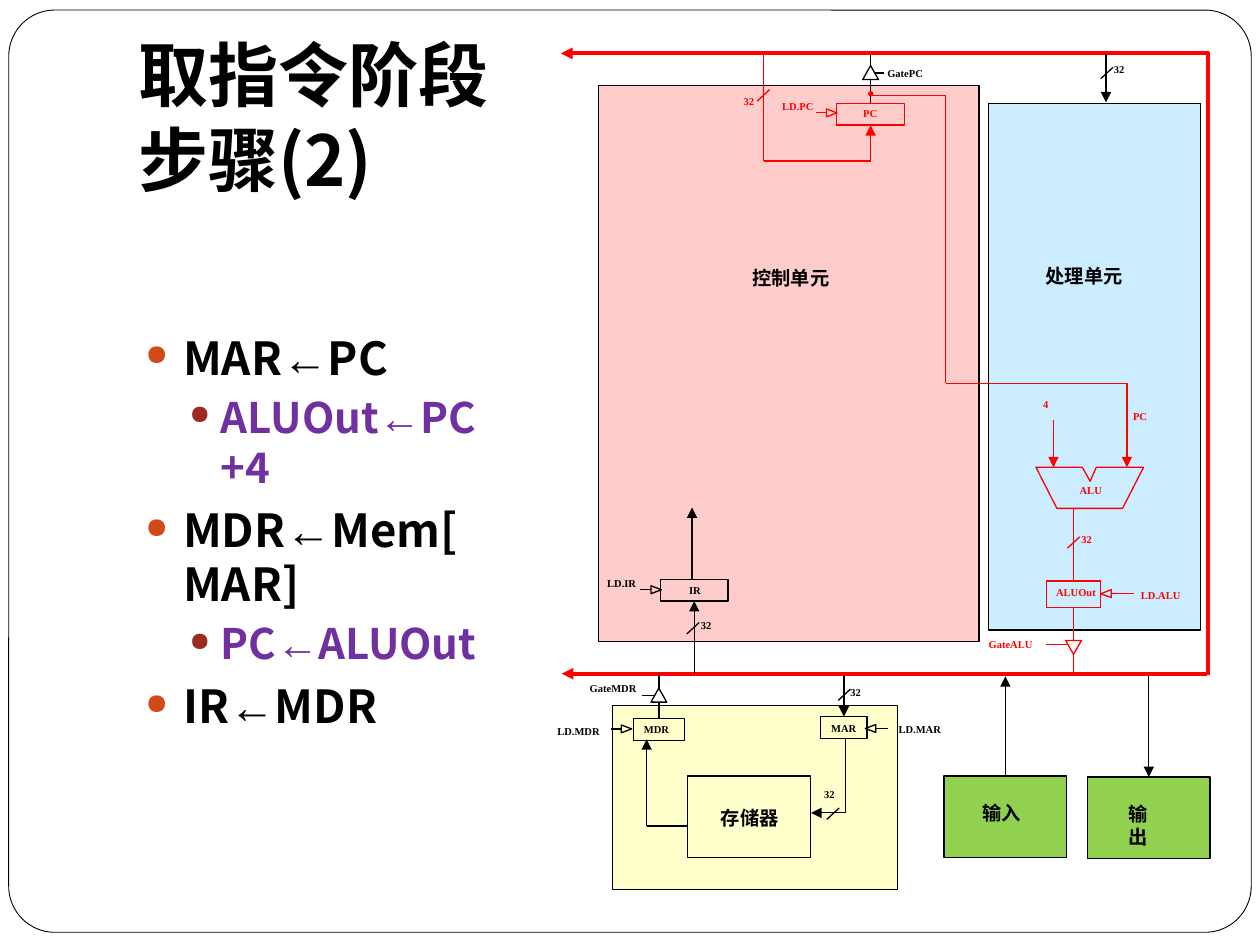
from lxml import etree
from pptx import Presentation
from pptx import util as u
from pptx.dml import color
from pptx.enum import shapes, text
from pptx.oxml import ns

HUES = {"ink": "000000", "red": "FF0000", "white": "FFFFFF", "pink": "FFCCCC",
        "sky": "CCECFF", "cream": "FFFFCC", "green": "92D050",
        "violet": "7030A0", "rust": "D34817", "brick": "9B2D1F"}
KIND = shapes.MSO_SHAPE
SANS, SERIF = "Noto Sans CJK SC", "Times New Roman"


class Board:
    """Style and current slide, with one method for each kind of element."""

    def __init__(self, slide):
        self.items = slide.shapes
        self.thin = 0.75

    def rgb(self, hue):
        return color.RGBColor.from_string(HUES[hue])

    def tag(self, node, name, **attrs):
        return etree.SubElement(node, ns.qn(name), **attrs)

    def paint(self, item, hue, fill, wide):
        item.shadow.inherit = False
        if fill:
            item.fill.solid()
            item.fill.fore_color.rgb = self.rgb(fill)
        else:
            item.fill.background()
        item.line.color.rgb = self.rgb(hue)
        item.line.width = u.Pt(wide)
        return item

    def shape(self, x, y, w, h, hue="ink", fill=None, kind=KIND.RECTANGLE, turn=0, wide=0.75):
        item = self.items.add_shape(kind, u.Pt(x), u.Pt(y), u.Pt(w), u.Pt(h))
        item.rotation = turn
        return self.paint(item, hue, fill, wide)

    def outline(self, points, hue):
        first, *rest = [(u.Pt(x), u.Pt(y)) for x, y in points]
        pen = self.items.build_freeform(*first)
        pen.add_line_segments(rest, close=True)
        return self.paint(pen.convert_to_shape(), hue, None, self.thin)

    def wire(self, points, hue="ink", arrow=False, wide=0.75, start=None, end=None):
        for a, b in zip(points, points[1:]):
            line = self.items.add_connector(
                shapes.MSO_CONNECTOR.STRAIGHT, *[u.Pt(v) for v in a + b])
            line.line.color.rgb = self.rgb(hue)
            line.line.width = u.Pt(wide)
            self.tag(line._element.spPr, "a:effectLst")
            if start and a == points[0]:
                line.begin_connect(*start)
        if end:
            line.end_connect(*end)
        if arrow:
            self.tag(line.line._get_or_add_ln(), "a:tailEnd", type="triangle")

    def run(self, para, words, size, hue, face):
        piece = para.add_run()
        piece.text = words
        font = piece.font
        font.size, font.bold, font.name = u.Pt(size), True, face
        font.color.rgb = self.rgb(hue)
        east = etree.Element(ns.qn("a:ea"), typeface=SANS)
        font._element.find(ns.qn("a:latin")).addnext(east)

    def frame(self, x, y, w, h):
        box = self.items.add_textbox(u.Pt(x), u.Pt(y), u.Pt(w), u.Pt(h)).text_frame
        box.word_wrap = True
        return box

    def label(self, words, x, y, hue="ink", size=6, w=None, h=12.5):
        box = self.frame(x, y, w or 4 * len(words) + 8, h)
        box.margin_left = box.margin_right = box.margin_top = box.margin_bottom = 0
        self.run(box.paragraphs[0], words, size, hue, SERIF)

    def title(self, words, x, y, w, h):
        box = self.frame(x, y, w, h)
        box.vertical_anchor = text.MSO_ANCHOR.MIDDLE
        para = box.paragraphs[0]
        para.line_spacing = u.Pt(48.5)
        self.run(para, words, 40, "ink", SANS)

    def steps(self, rows, x, y, w, h):
        box = self.frame(x, y, w, h)
        looks = [(26, "ink", "rust", 21.6, 21.6, 5.8, 31),
                 (24, "violet", "brick", 43.2, 18, 3.7, 29)]
        for i, (level, left, right) in enumerate(rows):
            size, hue, dot, edge, hang, gap, pitch = looks[level]
            para = box.add_paragraph() if i else box.paragraphs[0]
            para.level = level
            para.line_spacing = u.Pt(pitch)
            para.space_before = u.Pt(gap if i else 0)
            props = para._p.get_or_add_pPr()
            props.set("marL", str(u.Pt(edge)))
            props.set("indent", str(-u.Pt(hang)))
            self.tag(self.tag(props, "a:buClr"), "a:srgbClr", val=HUES[dot])
            self.tag(props, "a:buSzPct", val="63000")
            self.tag(props, "a:buChar", char="●")
            for words, face in ((left, SANS), ("←", "Arial"), (right, SANS)):
                self.run(para, words, size, hue, face)

    def latch(self, name, spot, far, x, y, hue="ink"):
        side = 1 if far > x else -1
        self.shape(x - 2.25, y - 3, 4.5, 6, hue, kind=KIND.FLOWCHART_EXTRACT, turn=-90 * side)
        self.wire([(far, y), (x + 3 * side, y)], hue)
        self.label(name, *spot, hue)

    def gate(self, name, spot, lead, x, y, hue="ink", kind=KIND.FLOWCHART_EXTRACT):
        self.shape(x, y, 9, 8, hue, kind=kind)
        self.wire(lead, hue)
        self.label(name, *spot, hue)

    def tick(self, x, y, spot, hue="ink"):
        self.wire([(x + 3.5, y - 3.25), (x - 3.5, y + 3.25)], hue)
        self.label("32", *spot, hue)


def main():
    deck = Presentation()
    deck.slide_width, deck.slide_height = u.Pt(720), u.Pt(540)
    b = Board(deck.slides.add_slide(deck.slide_layouts[6]))

    edge = b.shape(5, 5.75, 710, 527, fill="white", kind=KIND.ROUNDED_RECTANGLE, wide=0.5)
    edge.adjustments[0] = 0.05
    b.title("取指令阶段步骤(2)", 72, 21.5, 231, 89.5)
    b.steps([(0, "MAR", "PC"), (1, "ALUOut", "PC+4"), (0, "MDR", "Mem[MAR]"),
             (1, "PC", "ALUOut"), (0, "IR", "MDR")], 76, 185, 209.5, 312)

    b.shape(350, 403.25, 162.5, 105, fill="cream", wide=0.25)
    b.shape(565, 59, 121, 301, fill="sky")
    b.shape(342, 49, 217.5, 317.5, fill="pink")
    keys = b.shape(539.5, 443.5, 70, 46.5, fill="green")
    show = b.shape(621.5, 444, 70, 46.5, fill="green")
    b.shape(393, 443.5, 70, 46.5)
    pc = b.shape(478, 59, 39, 12.5, "red")
    ir = b.shape(377.5, 331, 38.5, 12.5)
    mdr = b.shape(362, 410.5, 29, 12.5)
    mar = b.shape(469, 409.5, 26.5, 12.5)
    out = b.shape(598, 332, 31, 15, "red")
    b.outline([(592, 267), (618.5, 267), (623, 275), (626.5, 267),
               (653.5, 267), (641.5, 290.5), (604, 290.5)], "red")

    b.wire([(691, 30.5), (320.5, 30.5)], "red", True, 2.25)
    b.wire([(690.5, 30), (690.5, 386)], "red", wide=2.25)
    b.wire([(690, 385), (321, 385)], "red", True, 2.25)

    b.wire([(396.75, 385), (396.75, 343.5)], arrow=True, end=(ir, 2))
    b.wire([(395.5, 331), (395.5, 290)], arrow=True)
    b.wire([(574.5, 443.5), (574.5, 386.5)], arrow=True, start=(keys, 0))
    b.wire([(656.5, 386.5), (656.5, 444)], arrow=True, end=(show, 0))
    b.wire([(632, 31), (632, 58.5)], arrow=True)
    b.wire([(497.5, 45.5), (497.5, 59)], end=(pc, 0))
    b.wire([(497.5, 31.5), (497.5, 37.5)])
    b.wire([(376.5, 410.5), (376.5, 401)], start=(mdr, 0))
    b.wire([(376.5, 385), (376.5, 393.5)])
    b.wire([(393, 472), (369.5, 472), (369.5, 422.5)], arrow=True)
    b.wire([(483, 422), (483, 464.5), (463.5, 464.5)], arrow=True)
    b.wire([(482.25, 386), (482.25, 409.5)], arrow=True, end=(mar, 0))
    b.wire([(436.5, 30), (436.5, 92), (497.5, 92), (497.5, 71.5)], "red", True, end=(pc, 2))
    b.wire([(498.5, 54.5), (540.5, 54.5), (540.5, 219), (644, 219), (644, 267)], "red", True)
    b.wire([(602, 240), (602, 267)], "red", True)
    b.wire([(613.5, 290.5), (613.5, 332)], "red", end=(out, 0))
    b.wire([(613.5, 347), (613.5, 366)], "red", start=(out, 2))
    b.wire([(613.5, 374), (613.5, 385)], "red")
    b.shape(496.5, 52.5, 2.25, 2.25, "red", "red", KIND.OVAL)

    b.gate("GatePC", (507, 38), [(499.5, 41.75), (505, 41.75)], 493, 37.5)
    b.gate("GateMDR", (337, 389.5), [(374.5, 397.5), (367, 397.5)], 372, 393.25)
    b.gate("GateALU", (565, 364.5), [(597.5, 368.5), (610, 368.5)], 609, 366,
           "red", KIND.FLOWCHART_MERGE)
    b.latch("LD.IR", (347, 329.75), 365.75, 375, 337)
    b.latch("LD.PC", (447, 57), 466.5, 475.25, 64.5, "red")
    b.latch("LD.ALU", (652, 336.5), 648, 632, 339.25, "red")
    b.latch("LD.MDR", (318.5, 414), 349, 358, 416.5)
    b.latch("LD.MAR", (513.5, 413), 507.5, 497.5, 416.25)
    for x, y, spot, hue in [
            (396, 359, (400.5, 353.5), "ink"), (632.5, 41.75, (636.5, 36), "ink"),
            (482.5, 397, (486, 391.75), "ink"), (476, 465, (471, 450), "ink"),
            (436.25, 54.5, (425, 54.5), "red"), (613.5, 310, (618, 304.5), "red")]:
        b.tick(x, y, spot, hue)

    for words, x, y, hue in [
            ("IR", 393.75, 333.5, "ink"), ("MDR", 368, 413.25, "ink"),
            ("MAR", 475, 412.5, "ink"), ("PC", 493.25, 61.25, "red"),
            ("ALU", 617, 276.5, "red"), ("ALUOut", 603.5, 335, "red"),
            ("PC", 647.5, 234, "red"), ("4", 596, 227.5, "red")]:
        b.label(words, x, y, hue)
    for words, x, y, w, h in [
            ("控制单元", 430, 152, 60.5, 28), ("处理单元", 597.5, 151, 58.5, 28),
            ("输入", 561.5, 458, 29, 13), ("输出", 645, 458.5, 21.5, 12.5),
            ("存储器", 412, 461, 39, 12.5)]:
        b.label(words, x, y, size=11, w=w, h=h)

    deck.save("out.pptx")


if __name__ == "__main__":
    main()
